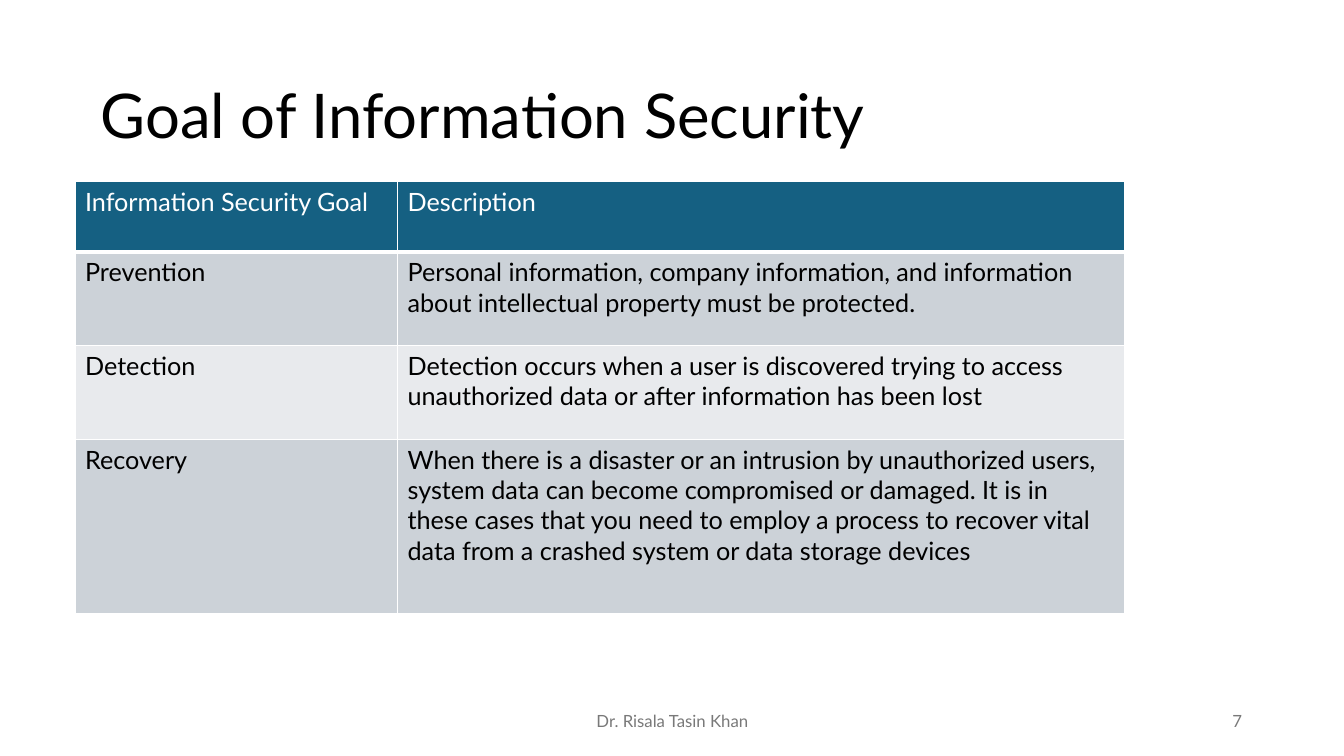
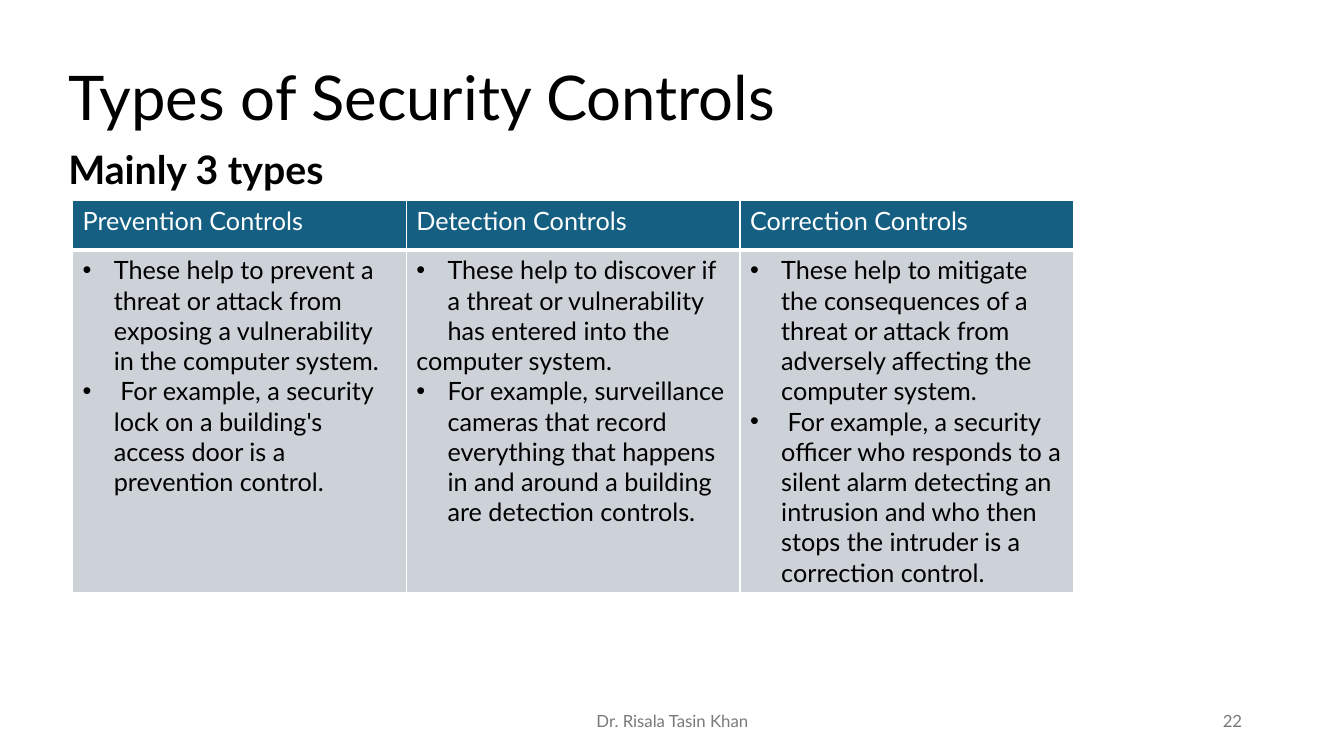
"""Build two slides on information security goals and security controls."""
from lxml import etree
from pptx import Presentation, util as u
from pptx.dml.color import RGBColor
from pptx.enum import text as t
from pptx.oxml import parse_xml
from pptx.oxml.ns import nsdecls, qn

INK, HEADER, BAND, LIGHT, WHITE, GREY = "000000", "156082", "CCD2D8", "E8EAED", "FFFFFF", "797979"
LEFT, CENTER, RIGHT = t.PP_ALIGN.LEFT, t.PP_ALIGN.CENTER, t.PP_ALIGN.RIGHT
FRAME = {"word_wrap": True, "auto_size": t.MSO_AUTO_SIZE.NONE,
         "vertical_anchor": t.MSO_ANCHOR.MIDDLE}
BULLET = "•"
INDENT = u.Inches(0.31)

deck = Presentation()
deck.slide_width, deck.slide_height = u.Inches(13.33), u.Inches(7.5)


def share(left, top, width, height):
    """Turn percentages of the slide into a position and size."""
    return [int(percent * side / 100) for percent, side in
            zip((left, top, width, height), (deck.slide_width, deck.slide_height) * 2)]


def write(paragraph, words, size, color, align=LEFT, bold=False, spacing=1.0):
    """Put formatted words in a paragraph."""
    paragraph.text = words
    paragraph.alignment, paragraph.line_spacing = align, spacing
    for name, value in {"name": "Lato", "size": u.Pt(size), "bold": bold}.items():
        setattr(paragraph.font, name, value)
    paragraph.font.color.rgb = RGBColor.from_string(color)


pages = [
    {
        "title": " Goal of Information Security",
        "title_box": (5.55, 8.93, 70.5, 13.6),
        "number": "7",
        "corner": (5.58, 24),
        "columns": [24, 54.1],
        "rows": [9.33, 12.4, 12.4, 23.07],
        "cells": [
            ["Information Security Goal", "Description"],
            ["Prevention",
             "Personal information, company information, and information about "
             "intellectual property must be protected."],
            ["Detection",
             "Detection occurs when a user is discovered trying to access "
             "unauthorized data or after information has been lost"],
            ["Recovery",
             "When there is a disaster or an intrusion by unauthorized users, system "
             "data can become compromised or damaged. It is in these cases that you "
             "need to employ a process to recover vital data from a crashed system or "
             "data storage devices"],
        ],
    },
    {
        "title": "Types of Security Controls",
        "title_box": (4.35, 3.73, 70.5, 19.2),
        "subtitle": "Mainly 3 types",
        "number": "22",
        "corner": (5.4, 26.53),
        "columns": [24.83] * 3,
        "rows": [6.53, 45.2],
        "cells": [
            ["Prevention Controls", "Detection Controls", "Correction Controls"],
            ["•These help to prevent a threat or attack from exposing a vulnerability "
             "in the computer system.\n"
             "• For example, a security lock on a building's access door is a "
             "prevention control.",
             "•These help to discover if a threat or vulnerability has entered into the\n"
             "computer system.\n"
             "•For example, surveillance cameras that record everything that happens "
             "in and around a building are detection controls.",
             "•These help to mitigate the consequences of a threat or attack from "
             "adversely affecting the computer system.\n"
             "• For example, a security officer who responds to a silent alarm "
             "detecting an intrusion and who then stops the intruder is a "
             "correction control."],
        ],
    },
]

for page in pages:
    slide = deck.slides.add_slide(deck.slide_layouts[5])
    title = slide.shapes.title
    title.left, title.top, title.width, title.height = share(*page["title_box"])
    for name, value in FRAME.items():
        setattr(title.text_frame, name, value)
    write(title.text_frame.paragraphs[0], page["title"], 44, INK, spacing=0.9)

    labels = [
        ((33.16, 92.67, 33.76, 5.33), "Dr. Risala Tasin Khan", 12, GREY, CENTER, False, 1.0),
        ((70.67, 92.67, 22.5, 5.33), page["number"], 12, GREY, RIGHT, False, 1.0),
    ]
    if "subtitle" in page:
        labels.append(((4.35, 19.2, 71.72, 7), page["subtitle"], 28, INK, LEFT, True, 0.9))
    for place, *style in labels:
        label = slide.shapes.add_textbox(*share(*place)).text_frame
        for name, value in FRAME.items():
            setattr(label, name, value)
        write(label.paragraphs[0], *style)

    columns, rows = page["columns"], page["rows"]
    table = slide.shapes.add_table(
        len(rows), len(columns),
        *share(*page["corner"], sum(columns), sum(rows))).table
    for column, width in zip(table.columns, columns):
        column.width = int(deck.slide_width * width / 100)
    for row, height in zip(table.rows, rows):
        row.height = int(deck.slide_height * height / 100)

    for r, entries in enumerate(page["cells"]):
        fill = HEADER if r == 0 else (LIGHT, BAND)[r % 2]
        for c, entry in enumerate(entries):
            cell = table.cell(r, c)
            cell.fill.solid()
            cell.fill.fore_color.rgb = RGBColor.from_string(fill)
            for place, edge in enumerate("LRTB"):
                weight = u.Pt(3 if r == 0 and edge == "B" else 1)
                cell._tc.get_or_add_tcPr().insert(place, parse_xml(
                    f'<a:ln{edge} {nsdecls("a")} w="{weight}"><a:solidFill>'
                    f'<a:srgbClr val="{WHITE}"/></a:solidFill></a:ln{edge}>'))
            for i, line in enumerate(entry.split("\n")):
                frame = cell.text_frame
                paragraph = frame.paragraphs[0] if i == 0 else frame.add_paragraph()
                if line.startswith(BULLET):
                    properties = paragraph._p.get_or_add_pPr()
                    properties.set("marL", str(INDENT))
                    properties.set("indent", str(-INDENT))
                    etree.SubElement(properties, qn("a:buFont"), typeface="Arial")
                    etree.SubElement(properties, qn("a:buChar"), char=BULLET)
                write(paragraph, line.removeprefix(BULLET), 18, INK if r else WHITE)

deck.save("out.pptx")
